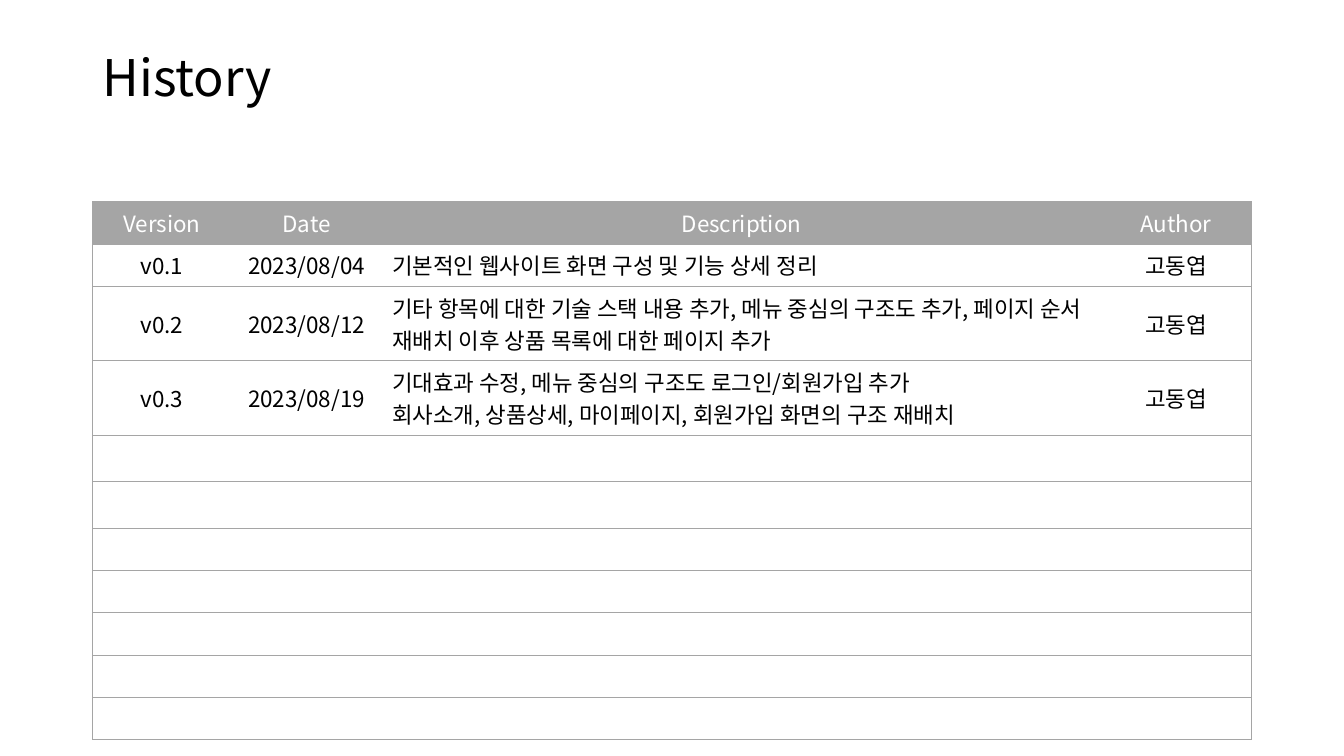
from lxml import etree
from pptx import Presentation
from pptx import util as u
from pptx.dml.color import RGBColor
from pptx.enum import text as t
from pptx.oxml import ns

TITLE = "History"
HEAD = ("Version", "Date", "Description", "Author")
LOG = [
    ("v0.1", "2023/08/04", "기본적인 웹사이트 화면 구성 및 기능 상세 정리", "고동엽"),
    ("v0.2", "2023/08/12",
     "기타 항목에 대한 기술 스택 내용 추가, 메뉴 중심의 구조도 추가, 페이지 순서 재배치 이후 상품 목록에 대한 페이지 추가",
     "고동엽"),
    ("v0.3", "2023/08/19",
     "기대효과 수정, 메뉴 중심의 구조도 로그인/회원가입 추가\v회사소개, 상품상세, 마이페이지, 회원가입 화면의 구조 재배치",
     "고동엽"),
]
SPARE = 7
ROWS = [HEAD] + LOG + [("",) * len(HEAD)] * SPARE
COLS = (1.37, 1.5, 7.13, 1.49)
LINE, PAIR, TALL = 0.42, 0.74, 0.46
HIGH = [LINE] * 2 + [PAIR] * 2 + [TALL] * 2 + [LINE] * (SPARE - 2)
LEFT, TOP = 0.92, 2
FONT = "Noto Sans CJK KR"
GREY = RGBColor(0xA5, 0xA5, 0xA5)
BLACK = RGBColor(0, 0, 0)
WHITE = RGBColor(255, 255, 255)
PLAIN = "{2D5ABB26-0587-4C30-8999-92F81FD0307C}"


def write(frame, words, size=16, color=BLACK, align=t.PP_ALIGN.CENTER, space=1.0):
    para = frame.paragraphs[0]
    para.text = words
    para.alignment = align
    para.line_spacing = space
    for run in para.runs:
        run.font.size = u.Pt(size)
        run.font.name = FONT
        run.font.color.rgb = color
        east = etree.SubElement(run.font._element, ns.qn("a:ea"))
        east.set("typeface", FONT)


def edge(cell, sides):
    props = cell._tc.get_or_add_tcPr()
    for side in sides:
        line = etree.SubElement(props, ns.qn("a:ln" + side), w=str(u.Pt(0.5)))
        fill = etree.SubElement(line, ns.qn("a:solidFill"))
        etree.SubElement(fill, ns.qn("a:srgbClr"), val=str(GREY))


def main():
    deck = Presentation()
    deck.slide_width, deck.slide_height = u.Inches(13.33), u.Inches(7.5)
    slide = deck.slides.add_slide(deck.slide_layouts[6])

    box = slide.shapes.add_textbox(*map(u.Inches, (LEFT, 0.4, 11.5, 0.8)))
    box.text_frame.word_wrap = True
    box.text_frame.vertical_anchor = t.MSO_ANCHOR.MIDDLE
    write(box.text_frame, TITLE, size=36, align=t.PP_ALIGN.LEFT, space=0.9)

    area = map(u.Inches, (LEFT, TOP, sum(COLS), sum(HIGH)))
    table = slide.shapes.add_table(len(ROWS), len(COLS), *area).table
    table.horz_banding = False
    table._tbl.tblPr.find(ns.qn("a:tableStyleId")).text = PLAIN
    for col, wide in zip(table.columns, COLS):
        col.width = u.Inches(wide)
    for row, high in zip(table.rows, HIGH):
        row.height = u.Inches(high)

    last = len(COLS) - 1
    for r, row in enumerate(ROWS):
        for c, words in enumerate(row):
            cell = table.cell(r, c)
            edge(cell, "L" * (c == 0) + "R" * (c == last) + "TB")
            cell.fill.solid()
            cell.fill.fore_color.rgb = WHITE if r else GREY
            cell.vertical_anchor = t.MSO_ANCHOR.MIDDLE
            left = r and HEAD[c] == "Description"
            write(cell.text_frame, words, color=BLACK if r else WHITE,
                  align=t.PP_ALIGN.LEFT if left else t.PP_ALIGN.CENTER)

    deck.save("out.pptx")


if __name__ == "__main__":
    main()
